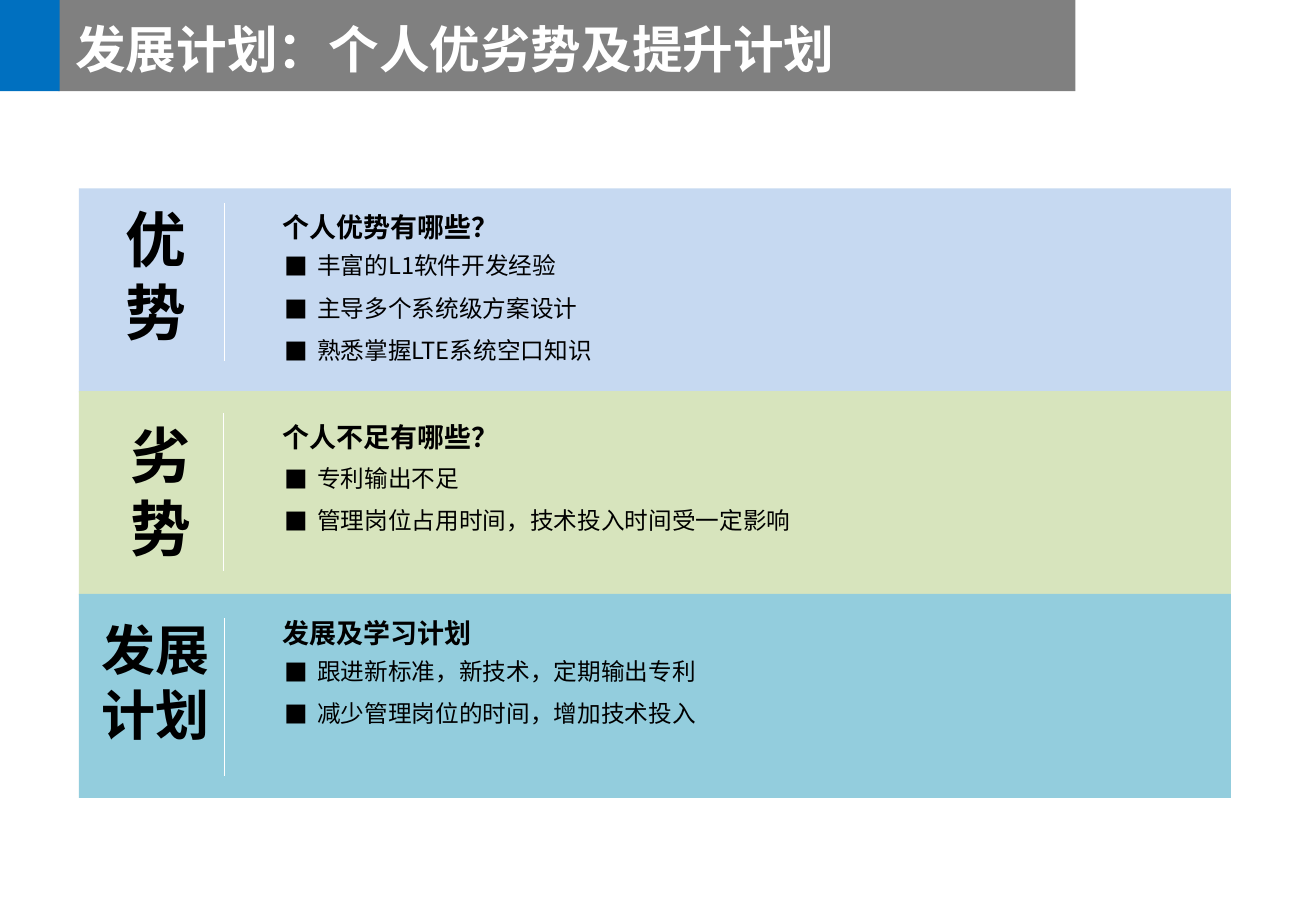
"""Build the slide on personal strengths, weaknesses and development plan."""
from lxml import etree
from pptx import Presentation
from pptx.dml.color import RGBColor
from pptx.enum.shapes import MSO_CONNECTOR, MSO_SHAPE
from pptx.enum.text import MSO_ANCHOR, MSO_AUTO_SIZE, PP_ALIGN
from pptx.oxml.ns import qn
from pptx.util import Inches, Pt

RECTANGLE = MSO_SHAPE.RECTANGLE
STRAIGHT = MSO_CONNECTOR.STRAIGHT
TOP, MIDDLE = MSO_ANCHOR.TOP, MSO_ANCHOR.MIDDLE
LEFT, CENTER = PP_ALIGN.LEFT, PP_ALIGN.CENTER
FIXED = MSO_AUTO_SIZE.NONE

TITLE = "发展计划：个人优劣势及提升计划"
SECTIONS = [
    {"label": ["优", "势"], "label_size": 36, "label_at": (0.52, 0.06),
     "heading": "个人优势有哪些？", "heading_drop": 0, "list_drop": 0.35,
     "points": ["丰富的L1软件开发经验", "主导多个系统级方案设计", "熟悉掌握LTE系统空口知识"],
     "divider_at": (1.85, 0.12), "color": "C6D9F1"},
    {"label": ["劣", "势"], "label_size": 36, "label_at": (0.56, 0.17),
     "heading": "个人不足有哪些？", "heading_drop": 0.06, "list_drop": 0.43,
     "points": ["专利输出不足", "管理岗位占用时间，技术投入时间受一定影响"],
     "divider_at": (1.84, 0.18), "color": "D7E4BD"},
    {"label": ["发展计划"], "label_size": 32, "label_at": (0.52, 0.14),
     "heading": "发展及学习计划", "heading_drop": 0, "list_drop": 0.35,
     "points": ["跟进新标准，新技术，定期输出专利", "减少管理岗位的时间，增加技术投入"],
     "divider_at": (1.85, 0.2), "color": "93CDDD"},
]
FONT = "Noto Sans CJK SC"
BLACK, WHITE, GRAY, BLUE = "000000", "FFFFFF", "808080", "0070C0"
HEADER_HEIGHT = 0.75
BAND_LEFT, BAND_TOP, BAND_WIDTH, BAND_HEIGHT, BAND_STEP = 0.65, 1.55, 9.48, 1.68, 1.67
DIVIDER_LENGTH = 1.3
BULLET_INDENT = 0.27


def rgb(value):
    return RGBColor.from_string(value)


def add_block(slide, left, top, width, height, color):
    block = slide.shapes.add_shape(
        RECTANGLE, Inches(left), Inches(top), Inches(width), Inches(height))
    block.shadow.inherit = False
    block.fill.solid()
    block.fill.fore_color.rgb = rgb(color)
    block.line.fill.background()


def add_divider(slide, left, top):
    divider = slide.shapes.add_connector(
        STRAIGHT, Inches(left), Inches(top), Inches(left), Inches(top + DIVIDER_LENGTH))
    divider.line.color.rgb = rgb(WHITE)
    divider.line.width = Pt(0.75)
    etree.SubElement(divider.element.spPr, qn("a:effectLst"))


def place(holder, left, top, width, height):
    holder.left, holder.top = Inches(left), Inches(top)
    holder.width, holder.height = Inches(width), Inches(height)
    holder.element.getparent().append(holder.element)


def add_text_box(slide, left, top, width, height):
    return slide.shapes.add_textbox(
        Inches(left), Inches(top), Inches(width), Inches(height))


def write(holder, lines, size, color=BLACK, bold=True, align=LEFT,
          spacing=1.0, anchor=TOP, bulleted=False):
    frame = holder.text_frame
    frame.word_wrap = True
    frame.auto_size = FIXED
    frame.vertical_anchor = anchor
    frame.text = "\n".join(lines)
    for paragraph in frame.paragraphs:
        paragraph.alignment = align
        paragraph.line_spacing = spacing
        paragraph.space_before = Pt(0)
        properties = paragraph._p.get_or_add_pPr()
        if bulleted:
            properties.set("marL", str(Inches(BULLET_INDENT)))
            properties.set("indent", str(-Inches(BULLET_INDENT)))
            etree.SubElement(properties, qn("a:buFont"), typeface=FONT)
            etree.SubElement(properties, qn("a:buChar"), char="■")
        font = paragraph.font
        font.size = Pt(size)
        font.bold = bold
        font.color.rgb = rgb(color)
        font.name = FONT
        etree.SubElement(properties.find(qn("a:defRPr")), qn("a:ea"), typeface=FONT)


def add_section(slide, section, top, points):
    add_block(slide, BAND_LEFT, top, BAND_WIDTH, BAND_HEIGHT, section["color"])

    label_left, label_drop = section["label_at"]
    label = add_text_box(slide, label_left, top + label_drop, 1.52, 1.5)
    write(label, section["label"], section["label_size"], align=CENTER)

    heading = add_text_box(slide, 2.23, top + section["heading_drop"], 3.09, 0.5)
    write(heading, [section["heading"]], 16, spacing=1.5)

    list_height = 0.1 + 0.35 * len(section["points"])
    place(points, 2.24, top + section["list_drop"], 4.44, list_height)
    write(points, section["points"], 14, bold=False, spacing=1.5, bulleted=True)

    divider_left, divider_drop = section["divider_at"]
    add_divider(slide, divider_left, top + divider_drop)


def main():
    deck = Presentation()
    deck.slide_width, deck.slide_height = Inches(10.83), Inches(7.5)
    slide = deck.slides.add_slide(deck.slide_layouts.get_by_name("Comparison"))
    title, *lists, spare = list(slide.placeholders)
    spare.element.getparent().remove(spare.element)

    add_block(slide, 0.48, 0, 8.37, HEADER_HEIGHT, GRAY)
    add_block(slide, 0, 0, 0.49, HEADER_HEIGHT, BLUE)
    place(title, 0.52, 0.05, 7.34, 0.7)
    write(title, [TITLE], 30, color=WHITE, anchor=MIDDLE)

    for row, (section, points) in enumerate(zip(SECTIONS, lists)):
        add_section(slide, section, BAND_TOP + row * BAND_STEP, points)

    deck.save("out.pptx")


if __name__ == "__main__":
    main()
